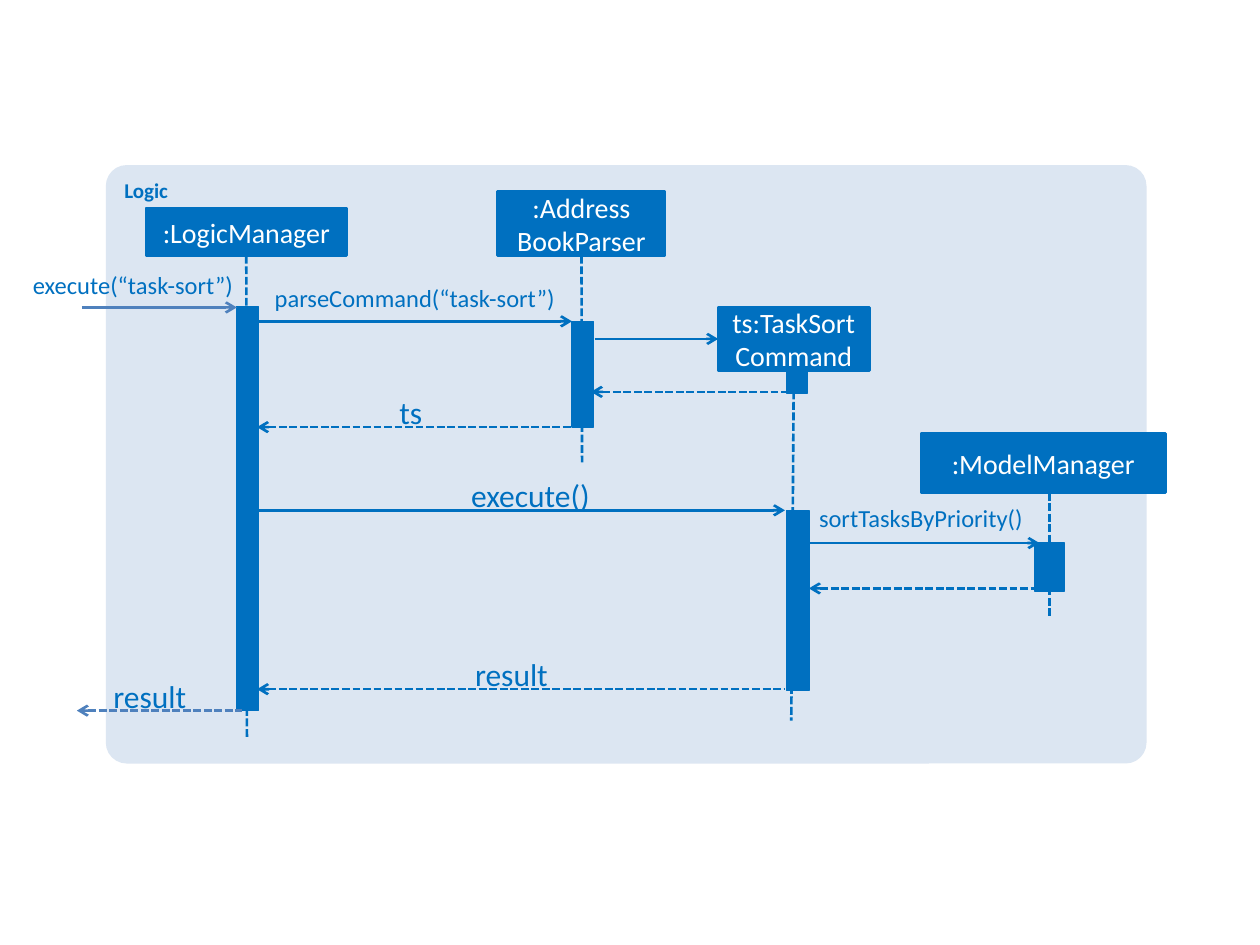
from lxml import etree
from pptx import Presentation
from pptx.dml.color import RGBColor
from pptx.enum.dml import MSO_LINE
from pptx.enum.shapes import MSO_CONNECTOR, MSO_SHAPE
from pptx.enum.text import MSO_ANCHOR, PP_ALIGN
from pptx.oxml.ns import qn
from pptx.util import Inches, Pt

RECT, ROUND = MSO_SHAPE.RECTANGLE, MSO_SHAPE.ROUNDED_RECTANGLE
STRAIGHT = MSO_CONNECTOR.STRAIGHT
DASH = MSO_LINE.SQUARE_DOT
TOP, MIDDLE = MSO_ANCHOR.TOP, MSO_ANCHOR.MIDDLE
LEFT, CENTER, RIGHT = PP_ALIGN.LEFT, PP_ALIGN.CENTER, PP_ALIGN.RIGHT
SIDE_LEFT, SIDE_BOTTOM = 1, 2

THEME = dict(
    font="Calibri",
    blue=RGBColor(0x00, 0x70, 0xC0),
    outer=RGBColor(0x4F, 0x81, 0xBD),
    panel=RGBColor(0xDC, 0xE6, 0xF2),
    white=RGBColor(0xFF, 0xFF, 0xFF),
    title=12, head=16, small=14, large=18,
    thin=0.75, line=1.5,
)
BLUE = THEME["blue"]

prs = Presentation()
prs.slide_width, prs.slide_height = Inches(10), Inches(7.5)
COLS = 1000
CELL = prs.slide_width // COLS
s = prs.slides.add_slide(prs.slide_layouts[6])


def write(sp, text, size, color=BLUE, bold=False, align=LEFT, anchor=TOP, inset=0):
    tf = sp.text_frame
    tf.word_wrap = True
    tf.vertical_anchor = anchor
    tf.margin_left = tf.margin_right = inset * 2
    tf.margin_top = tf.margin_bottom = inset
    for i, line in enumerate(text.split("\n")):
        p = tf.paragraphs[0] if i == 0 else tf.add_paragraph()
        p.text = line
        p.alignment = align
        for r in p.runs:
            r.font.name = THEME["font"]
            r.font.size = Pt(size)
            r.font.bold = bold
            r.font.color.rgb = color


frame = s.shapes.add_shape(ROUND, *[v * CELL for v in (84, 131, 826, 475)])
frame.adjustments[0] = 0.035
frame.shadow.inherit = False
frame.fill.solid()
frame.fill.fore_color.rgb = THEME["panel"]
frame.line.fill.background()
write(frame, "Logic", THEME["title"], bold=True, inset=5 * CELL)

boxes = [
    (188, 243, 17, 321, None),
    (454, 255, 17, 84, None),
    (624, 282, 17, 30, None),
    (624, 405, 18, 143, None),
    (821, 431, 24, 38, None),
    (116, 165, 159, 38, ":LogicManager"),
    (395, 152, 133, 51, ":Address\nBookParser"),
    (570, 244, 120, 50, "ts:TaskSort\vCommand"),
    (731, 344, 194, 47, ":ModelManager"),
]
heads = []
for *at, text in boxes:
    sp = s.shapes.add_shape(RECT, *[v * CELL for v in at])
    sp.shadow.inherit = False
    sp.fill.solid()
    sp.fill.fore_color.rgb = BLUE
    sp.line.color.rgb = BLUE
    sp.line.width = Pt(THEME["line"] if text else THEME["thin"])
    if text:
        write(sp, text, THEME["head"], THEME["white"], align=CENTER, anchor=MIDDLE)
        heads.append(sp)
logic, parser, command, model = heads

OUTER = THEME["outer"]
lines = [
    (196, 203, 196, 586, BLUE, True, None, logic, None),
    (462, 203, 462, 367, BLUE, True, None, parser, None),
    (630, 294, 628, 572, BLUE, True, None, command, None),
    (833, 391, 833, 489, BLUE, True, None, None, None),
    (65, 244, 188, 244, OUTER, False, "tailEnd", None, None),
    (205, 255, 454, 255, BLUE, False, "tailEnd", None, None),
    (472, 269, 570, 269, BLUE, False, "tailEnd", None, command),
    (469, 311, 632, 311, BLUE, True, "headEnd", None, None),
    (204, 339, 461, 339, BLUE, True, "headEnd", None, None),
    (204, 405, 623, 405, BLUE, False, "tailEnd", None, None),
    (642, 431, 825, 431, BLUE, False, "tailEnd", None, None),
    (642, 467, 821, 467, BLUE, True, "headEnd", None, None),
    (204, 547, 623, 547, BLUE, True, "headEnd", None, None),
    (61, 564, 192, 564, OUTER, True, "headEnd", None, None),
]
for *ends, color, dashed, arrow, begin, end in lines:
    c = s.shapes.add_connector(STRAIGHT, *[v * CELL for v in ends])
    c.line.color.rgb = color
    c.line.width = Pt(THEME["line"])
    if dashed:
        c.line.dash_style = DASH
    if arrow:
        etree.SubElement(c.line._get_or_add_ln(), qn("a:" + arrow), type="arrow")
    etree.SubElement(c._element.spPr, qn("a:effectLst"))
    if begin:
        c.begin_connect(begin, SIDE_BOTTOM)
    if end:
        c.end_connect(end, SIDE_LEFT)

labels = [
    (10, 214, 175, 24, "execute(“task-sort”)", "small", RIGHT),
    (218, 225, 235, 24, "parseCommand(“task-sort”)", "small", LEFT),
    (317, 312, 24, 30, "ts", "large", LEFT),
    (374, 378, 117, 30, "execute()", "large", LEFT),
    (650, 399, 165, 24, "sortTasksByPriority()", "small", LEFT),
    (377, 520, 68, 30, "result", "large", LEFT),
    (90, 537, 83, 30, "result", "large", LEFT),
]
for *at, text, size, align in labels:
    sp = s.shapes.add_textbox(*[v * CELL for v in at])
    write(sp, text, THEME[size], align=align)

prs.save("out.pptx")
